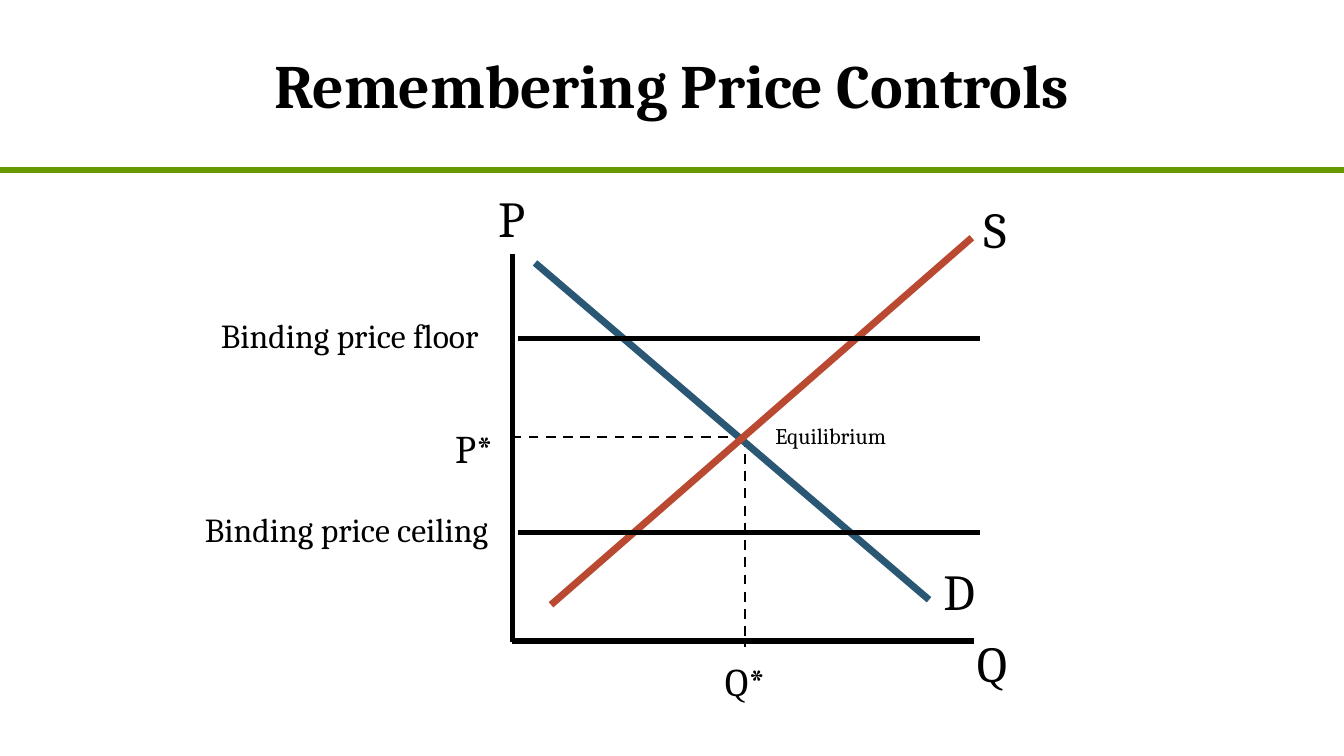
from dataclasses import dataclass

from lxml import etree
from pptx import Presentation
from pptx.dml.color import RGBColor
from pptx.enum.dml import MSO_LINE
from pptx.enum.shapes import MSO_CONNECTOR
from pptx.enum.text import MSO_ANCHOR, PP_ALIGN
from pptx.oxml.ns import qn
from pptx.slide import Slide
from pptx.util import Inches, Pt

STRAIGHT = MSO_CONNECTOR.STRAIGHT
DASH = MSO_LINE.DASH
TOP, MIDDLE = MSO_ANCHOR.TOP, MSO_ANCHOR.MIDDLE
LEFT, CENTER = PP_ALIGN.LEFT, PP_ALIGN.CENTER

BLACK = RGBColor(0x00, 0x00, 0x00)
GREEN = RGBColor(0x66, 0x99, 0x00)
BLUE = RGBColor(0x29, 0x57, 0x74)
RED = RGBColor(0xBA, 0x49, 0x32)

FONT = "Cambria"
COLUMNS, ROWS = 160, 90
CELL = Inches(7.5) / ROWS

ORIGIN_COLUMN, ORIGIN_ROW = 61, 76.3
EQUILIBRIUM_COLUMN, EQUILIBRIUM_ROW = 88.7, 52
CONTROL_START, CONTROL_END = 61.7, 116.7
FLOOR_ROW, CEILING_ROW = 40.3, 63.4


@dataclass(frozen=True)
class Line:
    start: tuple[float, float]
    end: tuple[float, float]
    color: RGBColor = BLACK
    weight: float = 4
    dashed: bool = False


@dataclass(frozen=True)
class Label:
    text: str
    column: float
    row: float
    columns: float
    rows: float
    size: int
    bold: bool = False
    align: PP_ALIGN = LEFT
    anchor: MSO_ANCHOR = TOP
    space_after: int = 10


LINES = [
    Line((0, 20.28), (COLUMNS, 20.28), GREEN, 4.5),
    Line((ORIGIN_COLUMN, 30.25), (ORIGIN_COLUMN, ORIGIN_ROW + 0.1)),
    Line((EQUILIBRIUM_COLUMN, EQUILIBRIUM_ROW), (60.7, EQUILIBRIUM_ROW), weight=1.75, dashed=True),
    Line((EQUILIBRIUM_COLUMN, EQUILIBRIUM_ROW), (EQUILIBRIUM_COLUMN, 77), weight=1.75, dashed=True),
    Line((ORIGIN_COLUMN, ORIGIN_ROW), (116, ORIGIN_ROW)),
    Line((63.7, 31.3), (110.6, 71.4), BLUE, 5),
    Line((65.6, 72), (115.7, 28.3), RED, 5),
    Line((CONTROL_START, FLOOR_ROW), (CONTROL_END, FLOOR_ROW)),
    Line((CONTROL_START, CEILING_ROW), (CONTROL_END, CEILING_ROW)),
]

LABELS = [
    Label("Remembering Price Controls", 8, 0, 144, 20, 44, True, CENTER, MIDDLE, 0),
    Label("P", 58.7, 22, 7.3, 5.3, 36),
    Label("Q", 115.7, 75, 7.3, 5.3, 36),
    Label("D", 111.7, 66.4, 8, 8.3, 36),
    Label("S", 116.5, 23.3, 6.1, 8.3, 36),
    Label("Equilibrium", 91.7, 50, 15, 4.3, 16),
    Label("P*", 53.6, 50.3, 7, 6, 28),
    Label("Q*", 85.7, 78, 7, 6, 28),
    Label("Binding price floor", 25.7, 37.3, 34, 6, 24),
    Label("Binding price ceiling", 23.8, 60.4, 38, 6, 24),
]


def cells(count: float) -> int:
    return round(count * CELL)


def draw_line(page: Slide, line: Line) -> None:
    connector = page.shapes.add_connector(STRAIGHT, *map(cells, line.start + line.end))
    connector.line.color.rgb = line.color
    connector.line.width = Pt(line.weight)
    if line.dashed:
        connector.line.dash_style = DASH
    etree.SubElement(connector.element.spPr, qn("a:effectLst"))


def draw_label(page: Slide, label: Label) -> None:
    place = map(cells, (label.column, label.row, label.columns, label.rows))
    frame = page.shapes.add_textbox(*place).text_frame
    frame.word_wrap = True
    frame.vertical_anchor = label.anchor
    frame.margin_left = frame.margin_right = Inches(0.05)
    frame.margin_top = frame.margin_bottom = Inches(0.02)
    para = frame.paragraphs[0]
    para.text = label.text
    para.alignment = label.align
    para.space_after = Pt(label.space_after)
    para.font.name = FONT
    para.font.size = Pt(label.size)
    para.font.bold = label.bold
    para.font.color.rgb = BLACK


def main() -> None:
    deck = Presentation()
    deck.slide_width = cells(COLUMNS)
    deck.slide_height = cells(ROWS)
    page = deck.slides.add_slide(deck.slide_layouts[6])
    for line in LINES:
        draw_line(page, line)
    for label in LABELS:
        draw_label(page, label)
    deck.save("out.pptx")


if __name__ == "__main__":
    main()
